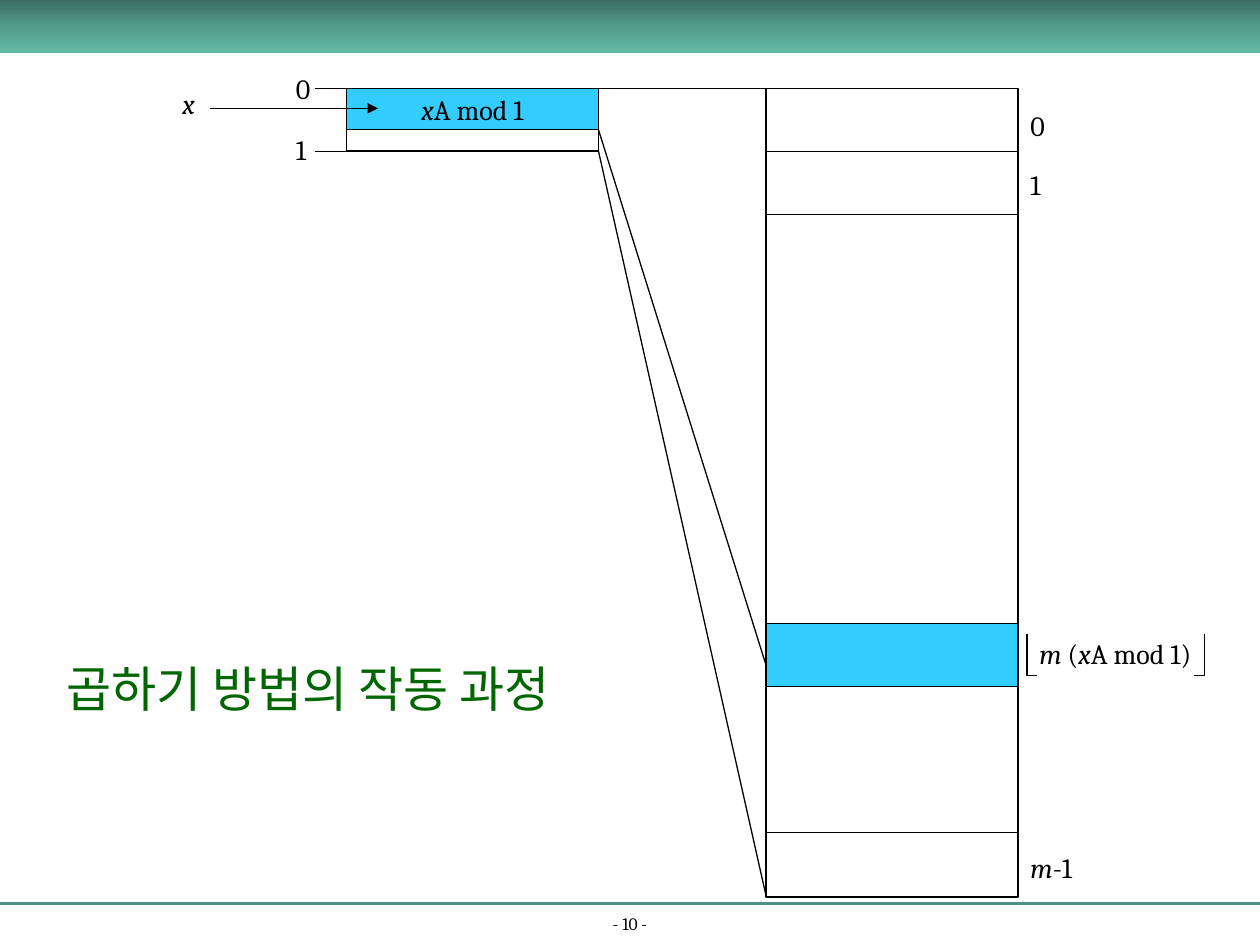
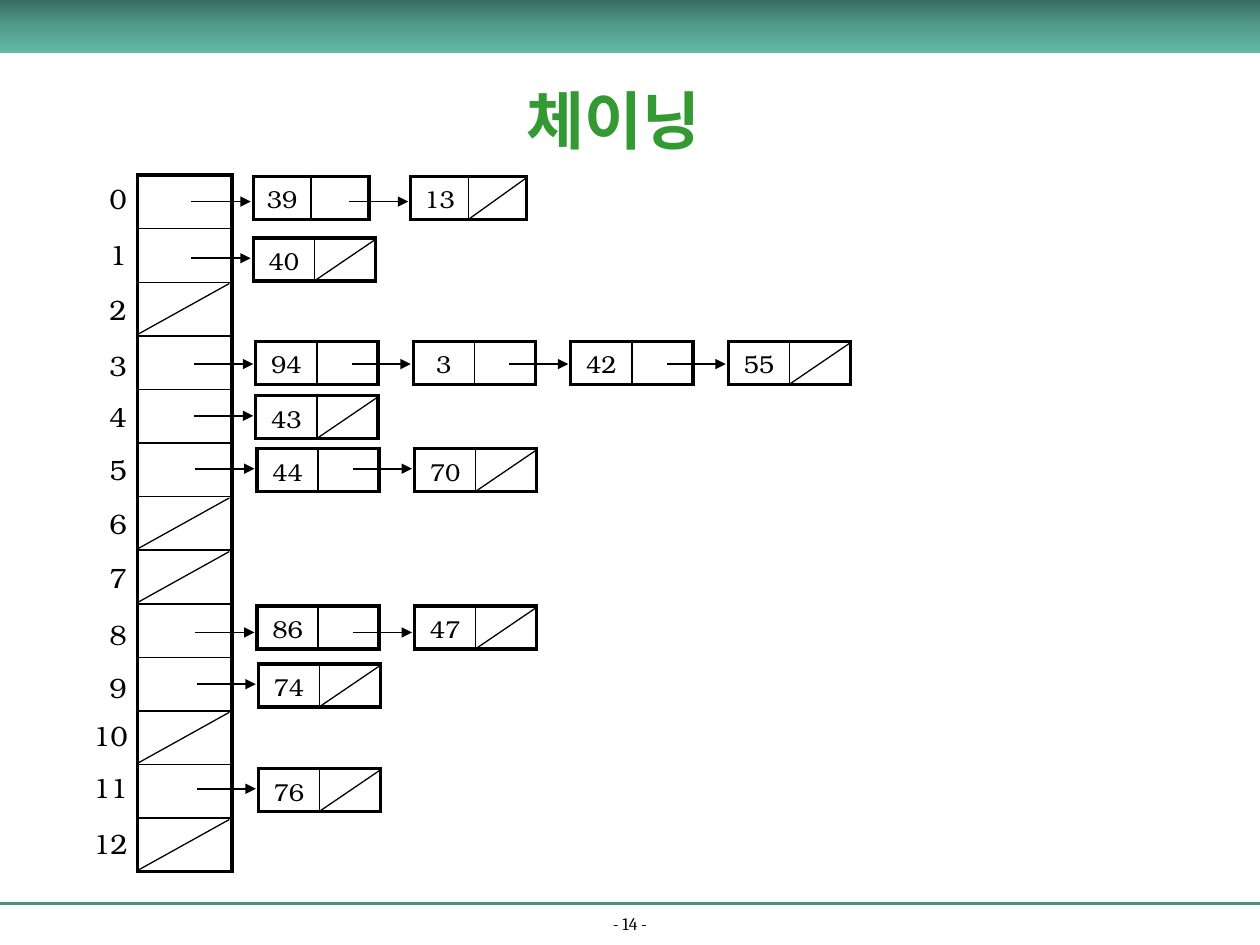
from copy import deepcopy

from lxml import etree
from pptx import Presentation
from pptx.dml.color import RGBColor
from pptx.enum.shapes import MSO_CONNECTOR, MSO_SHAPE
from pptx.enum.text import MSO_ANCHOR, MSO_AUTO_SIZE, PP_ALIGN
from pptx.oxml.ns import qn
from pptx.util import Inches, Pt

RECT = MSO_SHAPE.RECTANGLE
STRAIGHT = MSO_CONNECTOR.STRAIGHT
MIDDLE, BOTTOM = MSO_ANCHOR.MIDDLE, MSO_ANCHOR.BOTTOM
CENTER = PP_ALIGN.CENTER
GROW = MSO_AUTO_SIZE.SHAPE_TO_FIT_TEXT

BLACK, CYAN, RULE = "000000", "33CCFF", "4C9282"
CAPTION_GREEN, TITLE_GREEN = "006600", "339933"
BAND = [(0, "3A6D62"), (0.5, "539C8B"), (1, "62B9A5")]
SERIF, SANS, DIGITS = "Cambria", "Arial", "TeX Gyre Bonum"

SLOTS = 13
LABEL_TOPS = [1.39, 1.84, 2.27, 2.72, 3.12, 3.54, 3.97, 4.4, 4.85, 5.27, 5.65, 6.07, 6.51]
NODE_PITCH = 1.25
# slot: (left, top, arrow y, node width, keys)
CHAINS = {
    0: (2.01, 1.4, 1.6, 0.92, [39, 13]),
    1: (2.01, 1.89, 2.05, 0.97, [40]),
    3: (2.03, 2.71, 2.89, 0.97, [94, 3, 42, 55]),
    4: (2.03, 3.14, 3.3, 0.97, [43]),
    5: (2.04, 3.56, 3.72, 0.97, [44, 70]),
    8: (2.04, 4.81, 5.02, 0.97, [86, 47]),
    9: (2.05, 5.27, 5.43, 0.97, [74]),
    11: (2.05, 6.1, 6.26, 0.97, [76]),
}


def rgb(color):
    return RGBColor.from_string(color)


def box(*lengths):
    return [Inches(v) for v in lengths]


def style_line(s, color=BLACK, width=0.75):
    s.line.color.rgb = rgb(color)
    s.line.width = Pt(width)


def add_line(sl, x1, y1, x2, y2, width=0.75, color=BLACK, arrow=False):
    c = sl.shapes.add_connector(STRAIGHT, *box(x1, y1, x2, y2))
    style_line(c, color, width)
    etree.SubElement(c._element.spPr, qn("a:effectLst"))
    if arrow:
        tail = etree.SubElement(c.line._get_or_add_ln(), qn("a:tailEnd"))
        tail.set("type", "triangle")


def add_rect(sl, x, y, w, h, fill=None):
    s = sl.shapes.add_shape(RECT, *box(x, y, w, h))
    s.shadow.inherit = False
    if fill:
        s.fill.solid()
        s.fill.fore_color.rgb = rgb(fill)
    else:
        s.fill.background()
    style_line(s)
    return s


def add_runs(p, runs, size, font, color=BLACK, bold=False):
    for text, italic in runs:
        r = p.add_run()
        r.text = text
        r.font.size = Pt(size)
        r.font.name = font
        r.font.italic = italic
        r.font.bold = bold
        r.font.color.rgb = rgb(color)


def add_label(sl, x, y, w, h, runs, size=16, font=SERIF, color=BLACK):
    tf = sl.shapes.add_textbox(*box(x, y, w, h)).text_frame
    tf.word_wrap = False
    tf.auto_size = GROW
    add_runs(tf.paragraphs[0], runs, size, font, color)


def add_centered(sl, x, y, w, h, text, size, anchor, color=BLACK, bold=False):
    tf = sl.shapes.add_textbox(*box(x, y, w, h)).text_frame
    tf.word_wrap = True
    tf.vertical_anchor = anchor
    p = tf.paragraphs[0]
    p.alignment = CENTER
    add_runs(p, [(text, False)], size, SERIF, color, bold)


def add_frame(prs, number):
    sl = prs.slides.add_slide(prs.slide_layouts[6])
    add_line(sl, 0, 7.17, 10, 7.17, 1.5, RULE)
    add_centered(sl, 0, 7.24, 10, 0.22, f"- {number} -", 10, BOTTOM)
    band = add_rect(sl, 0, 0, 10, 0.42)
    band.line.fill.background()
    band.fill.gradient()
    band.fill.gradient_angle = 270
    stops = band._element.spPr.find(".//" + qn("a:gsLst"))
    stops.append(deepcopy(stops[0]))
    for stop, (position, color) in zip(band.fill.gradient_stops, BAND):
        stop.position = position
        stop.color.rgb = rgb(color)
    return sl


def style_cell(cell, left, right, top, bottom):
    tc_pr = cell._tc.get_or_add_tcPr()
    for side, width in zip("LRTB", (left, right, top, bottom)):
        ln = etree.SubElement(tc_pr, qn(f"a:ln{side}"), w=str(Pt(width)))
        fill = etree.SubElement(ln, qn("a:solidFill"))
        etree.SubElement(fill, qn("a:srgbClr"), val=BLACK)
    cell.fill.background()
    cell.margin_top, cell.margin_bottom = Inches(0.05), 0
    p = cell.text_frame.paragraphs[0]
    etree.SubElement(p._p, qn("a:endParaRPr"), sz="1400")


def add_grid(sl, rows, cols, x, y, w, h):
    table = sl.shapes.add_table(rows, cols, *box(x, y, w, h)).table
    table.first_row = table.horz_banding = False
    for i in range(rows):
        for j in range(cols):
            style_cell(table.cell(i, j),
                       1 if j else 2.25, 1 if j < cols - 1 else 2.25,
                       1 if i else 2.25, 1 if i < rows - 1 else 2.25)
    return table


def add_unit_interval(sl, x, y):
    add_rect(sl, x, y, 2, 0.5)
    tf = add_rect(sl, x, y, 2, 0.33, CYAN).text_frame
    tf.word_wrap = False
    tf.vertical_anchor = MIDDLE
    p = tf.paragraphs[0]
    p.alignment = CENTER
    add_runs(p, [("x", True), ("A mod 1", False)], 16, SERIF)
    for text, tick, label_dy in (("0", 0, -0.18), ("1", 0.5, 0.3)):
        add_line(sl, x - 0.25, y + tick, x, y + tick)
        add_label(sl, x - 0.5, y + label_dy, 0.31, 0.37, [(text, False)])
    add_label(sl, x - 1.4, y - 0.06, 0.3, 0.37, [("x", True)])
    add_line(sl, x - 1.08, y + 0.16, x + 0.25, y + 0.16, arrow=True)


def add_floor_brackets(sl, x, y, w):
    for edge, foot in ((x, x + 0.08), (x + w, x + w - 0.08)):
        fb = sl.shapes.build_freeform(Inches(edge), Inches(y))
        fb.add_line_segments([box(edge, y + 0.33), box(foot, y + 0.33)], close=False)
        s = fb.convert_to_shape()
        s.shadow.inherit = False
        s.fill.background()
        style_line(s)


def add_hash_table(sl, x, y):
    add_rect(sl, x, y, 2, 6.42)
    add_rect(sl, x, y + 4.25, 2, 0.5, CYAN)
    for dy in (0.5, 1, 5.91):
        add_line(sl, x, y + dy, x + 2, y + dy)
    for dy, w, runs in ((0.11, 0.31, [("0", False)]),
                        (0.58, 0.31, [("1", False)]),
                        (6, 0.55, [("m", True), ("-1", False)])):
        add_label(sl, x + 2, y + dy, w, 0.37, runs)
    add_label(sl, x + 2.07, y + 4.3, 1.44, 0.37,
              [("m ", True), ("(", False), ("x", True), ("A mod 1)", False)])
    add_floor_brackets(sl, x + 2.07, y + 4.33, 1.41)


def multiplication_slide(prs):
    sl = add_frame(prs, 10)
    add_hash_table(sl, 6.08, 0.7)
    add_unit_interval(sl, 2.75, 0.7)
    for start, end in ((0.7, 0.7), (1.03, 5.28), (1.2, 7.11)):
        add_line(sl, 4.75, start, 6.08, end)
    add_label(sl, 0.43, 5.18, 4.41, 0.57, [("곱하기 방법의 작동 과정", False)],
              28, SANS, CAPTION_GREEN)


def add_buckets(sl, x, y, w, h):
    add_grid(sl, SLOTS, 1, x, y, w, h)
    pitch = h / SLOTS
    for slot, top in enumerate(LABEL_TOPS):
        left, width = (0.45, 0.48) if slot > 9 else (0.32, 0.34)
        add_label(sl, x - left, top, width, 0.37, [(str(slot), False)], font=DIGITS)
        if slot not in CHAINS:
            slot_top = y + slot * pitch
            add_line(sl, x + w - 0.02, slot_top + 0.01, x, slot_top + pitch - 0.01)


def add_node(sl, x, y, w, key):
    cell = add_grid(sl, 1, 2, x, y, w, 0.34).cell(0, 0)
    p = cell.text_frame.paragraphs[0]
    p.alignment = CENTER
    p.space_before = Pt(2.8)
    add_runs(p, [(str(key), False)], 14, DIGITS)


def add_chain(sl, x, y, arrow_y, w, keys):
    for i, key in enumerate(keys):
        left = x + i * NODE_PITCH
        add_node(sl, left, y, w, key)
        add_line(sl, left - 0.49, arrow_y, left - 0.02, arrow_y, 1, arrow=True)
    add_line(sl, left + w, y + 0.01, left + w / 2, y + 0.34)


def chaining_slide(prs):
    sl = add_frame(prs, 14)
    add_buckets(sl, 1.09, 1.39, 0.75, 5.53)
    for chain in CHAINS.values():
        add_chain(sl, *chain)
    add_centered(sl, 1.54, 0.51, 6.66, 0.88, "체이닝", 36, MIDDLE, TITLE_GREEN, True)


def main():
    prs = Presentation()
    prs.slide_width, prs.slide_height = box(10, 7.5)
    multiplication_slide(prs)
    chaining_slide(prs)
    prs.save("out.pptx")


if __name__ == "__main__":
    main()
